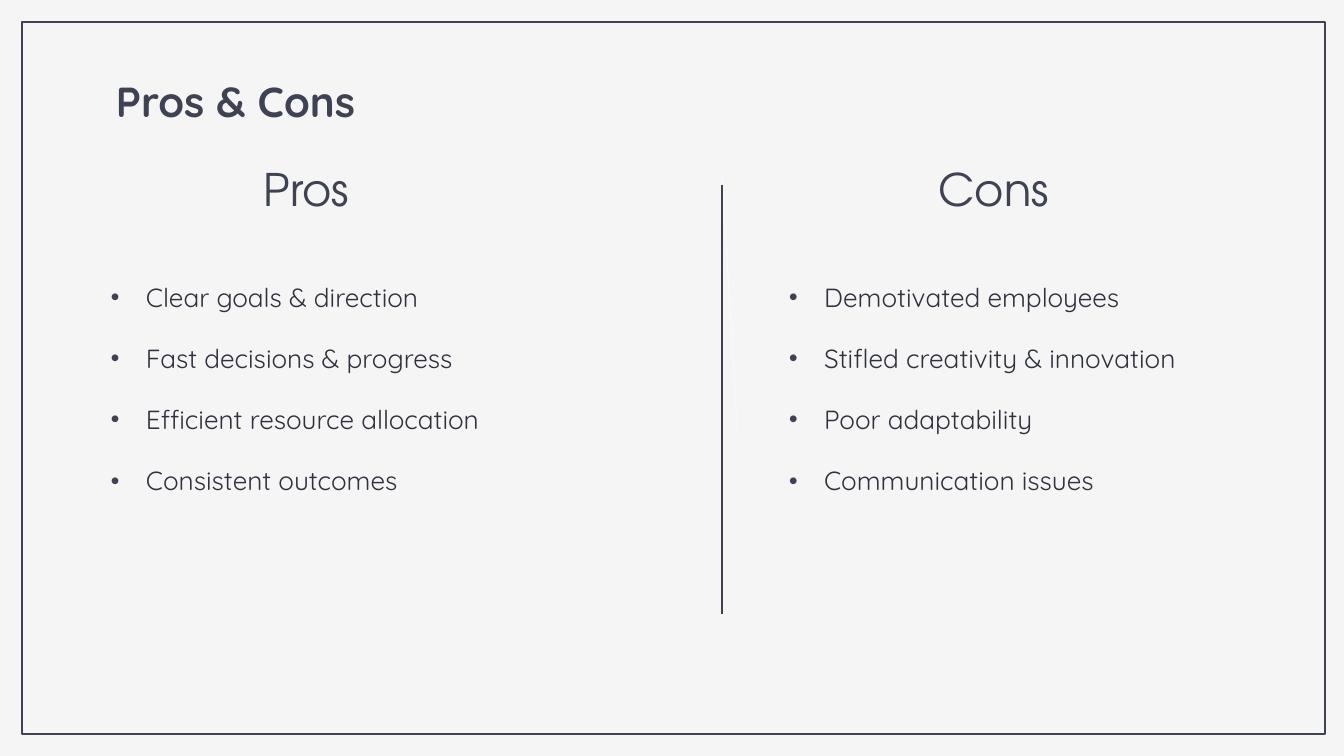
import pptx
import pptx.util
import pptx.dml.color
import pptx.enum.shapes
import pptx.enum.text
import pptx.oxml
from pptx.util import Cm

COLORS = {"back": "F5F5F5", "ink": "3F4252", "body": "2F313E", "faint": "F9F9F9"}
ALIGN = pptx.enum.text.PP_ALIGN
ANCHOR = pptx.enum.text.MSO_ANCHOR
NS = 'xmlns:a="http://schemas.openxmlformats.org/drawingml/2006/main"'


def rgb(name):
    return pptx.dml.color.RGBColor.from_string(COLORS[name])


def add_text(s, lines, x, y, w, h, size, font="Quicksand", color="ink", bold=False,
             align=ALIGN.LEFT, anchor=ANCHOR.TOP, bullet=False, gap=0):
    """Add a text box in cm, one paragraph a line, with gap points between them."""
    tf = s.shapes.add_textbox(Cm(x), Cm(y), Cm(w), Cm(h)).text_frame
    tf.word_wrap = True
    tf.vertical_anchor = anchor
    tf.margin_left = tf.margin_right = tf.margin_top = tf.margin_bottom = Cm(0.25)
    for i, line in enumerate(lines):
        p = tf.paragraphs[0] if i == 0 else tf.add_paragraph()
        p.alignment = align
        if i:
            p.space_before = pptx.util.Pt(gap)
        r = p.add_run()
        r.text = line
        r.font.name = font
        r.font.size = pptx.util.Pt(size)
        r.font.bold = bold
        r.font.color.rgb = rgb(color)
        if bullet:
            pPr = p._p.get_or_add_pPr()
            pPr.set("marL", str(Cm(1.27)))
            pPr.set("indent", str(-Cm(0.89)))
            for xml in (f'<a:buClr {NS}><a:srgbClr val="{COLORS["ink"]}"/></a:buClr>',
                        f'<a:buFont {NS} typeface="Quicksand"/>',
                        f'<a:buChar {NS} char="•"/>'):
                pPr.append(pptx.oxml.parse_xml(xml))


prs = pptx.Presentation()
prs.slide_width, prs.slide_height = Cm(33.87), Cm(19.05)
s = prs.slides.add_slide(prs.slide_layouts[6])
s.background.fill.solid()
s.background.fill.fore_color.rgb = rgb("back")

frame = s.shapes.add_shape(pptx.enum.shapes.MSO_SHAPE.RECTANGLE,
                           Cm(0.55), Cm(0.55), Cm(32.85), Cm(17.95))
frame.shadow.inherit = False
frame.fill.background()
frame.line.color.rgb = rgb("ink")
frame.line.width = pptx.util.Pt(1.5)

add_text(s, ["Pros & Cons"], 2.67, 1.65, 28.52, 2.13, 30, bold=True)

# heading, heading left, list left, list width, list height, items
columns = [
    ("Pros", 3.2, 2.16, 14.53, 8.64,
     ["Clear goals & direction", "Fast decisions & progress",
      "Efficient resource allocation", "Consistent outcomes"]),
    ("Cons", 20.52, 19.25, 15.21, 6.65,
     ["Demotivated employees", "Stifled creativity & innovation",
      "Poor adaptability", "Communication issues"]),
]
for heading, head_x, list_x, list_w, list_h, items in columns:
    add_text(s, [heading], head_x, 3.76, 9.04, 1.96, 32, font="TeX Gyre Adventor",
             align=ALIGN.CENTER, anchor=ANCHOR.MIDDLE)
    add_text(s, items, list_x, 6.83, list_w, list_h, 18.7, color="body",
             bullet=True, gap=21.3)

# top, right end, bottom, colour, width of the lines between the columns
for top, end_x, bottom, color, width in [(4.32, 18.59, 10.97, "faint", 0.75),
                                         (4.65, 18.19, 15.47, "ink", 1.5)]:
    divider = s.shapes.add_connector(pptx.enum.shapes.MSO_CONNECTOR.STRAIGHT,
                                     Cm(18.19), Cm(top), Cm(end_x), Cm(bottom))
    divider.line.color.rgb = rgb(color)
    divider.line.width = pptx.util.Pt(width)
    divider._element.spPr.append(pptx.oxml.parse_xml(f"<a:effectLst {NS}/>"))

prs.save("out.pptx")
